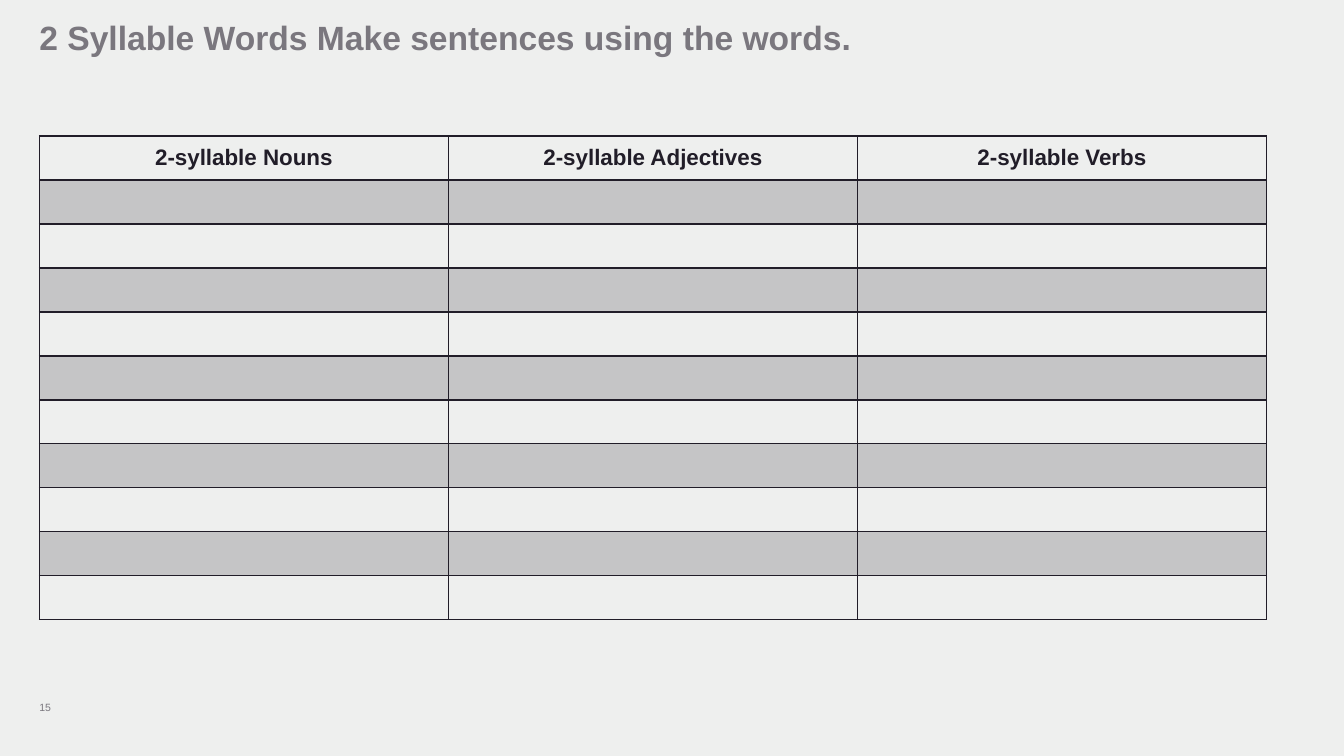
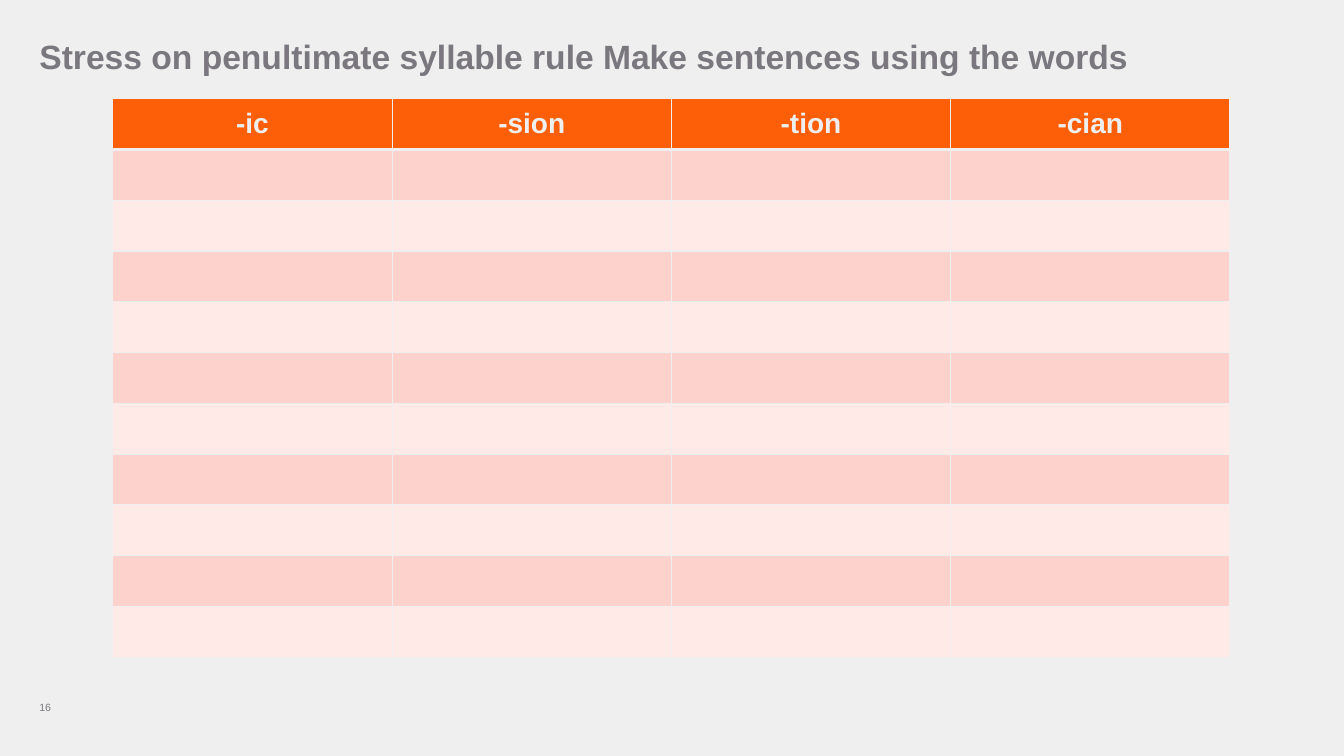
from dataclasses import dataclass

from lxml.etree import SubElement as Sub
from pptx import Presentation
from pptx.dml.color import RGBColor as RGB
from pptx.enum.text import MSO_ANCHOR as Anchor, MSO_AUTO_SIZE as Auto, PP_ALIGN as Align
from pptx.oxml.ns import qn
from pptx.util import Inches, Pt


@dataclass(frozen=True)
class Theme:
    """Colours and type sizes of the deck."""
    font: str = "Arial"
    page: str = "EEEFEE"
    ink: str = "211D28"
    grey: str = "7A777E"
    head: str = "FD5F08"
    rose: str = "FED2CC"
    pale: str = "FFEAE7"
    title: float = 24
    large: float = 20
    mid: float = 16
    small: float = 7.5


def put(item, **vals):
    """Set attributes from format values."""
    for key, val in vals.items():
        setattr(item, key, val)


class Deck:
    """Style and current slide, with lengths in percent of the slide."""

    def __init__(self, theme):
        """Start an empty deck with the theme's page colour."""
        self.theme = theme
        self.prs = Presentation()
        put(self.prs, slide_width=Inches(13.33), slide_height=Inches(7.5))
        fill = self.prs.slide_master.background.fill
        fill.solid()
        fill.fore_color.rgb = RGB.from_string(theme.page)

    def area(self, x, y, w, h):
        """Turn percent shares into slide lengths."""
        wide, high = self.prs.slide_width, self.prs.slide_height
        vals = (x * wide, y * high, w * wide, h * high)
        names = ("left", "top", "width", "height")
        return {name: round(val / 100) for name, val in zip(names, vals)}

    def text(self, frame, words, size, tint, bold=False, align=Align.LEFT):
        """Fill a text frame with one styled paragraph."""
        para = frame.paragraphs[0]
        para.alignment = align
        run = para.add_run()
        run.text = words
        put(run.font, name=self.theme.font, size=Pt(size), bold=bold)
        run.font.color.rgb = RGB.from_string(tint)
        return para

    def label(self, box, words, size, bold=False):
        """Set grey text in a box without insets."""
        frame = box.text_frame
        put(frame, margin_left=0, margin_top=0, margin_right=0, margin_bottom=0,
            word_wrap=True, auto_size=Auto.NONE, vertical_anchor=Anchor.MIDDLE)
        return self.text(frame, words, size, self.theme.grey, bold)

    def page(self, title, top, num):
        """Add a slide with its title and page number."""
        self.slide = self.prs.slides.add_slide(self.prs.slide_layouts[5])
        box = self.slide.shapes.title
        put(box, **self.area(2.93, top, 94, 5.2))
        self.label(box, title, self.theme.title, True).line_spacing = 0.9
        foot = self.slide.shapes.add_textbox(**self.area(2.93, 89.6, 4.43, 7.87))
        self.label(foot, str(num), self.theme.small)

    def edge(self, cell, side, tint, width):
        """Draw one border of a cell."""
        line = Sub(cell._tc.get_or_add_tcPr(), qn(f"a:ln{side}"), w=str(Pt(width)))
        Sub(Sub(line, qn("a:solidFill")), qn("a:srgbClr"), val=tint)

    def paint(self, cell, tint, alpha):
        """Fill a cell, or clear it when there is no tint."""
        if tint is None:
            cell.fill.background()
            return
        cell.fill.solid()
        cell.fill.fore_color.rgb = RGB.from_string(tint)
        if alpha < 100:
            mark = cell._tc.tcPr.find(qn("a:solidFill")).find(qn("a:srgbClr"))
            Sub(mark, qn("a:alpha"), val=str(alpha * 1000))

    def table(self, place, heads, size, tint, line, rule, top, bands, alpha=100, rows=11):
        """Add a banded table with a heading row and blank rows."""
        area = self.area(*place)
        grid = self.slide.shapes.add_table(rows, len(heads), **area).table
        for r, row in enumerate(grid.rows):
            row.height = round(area["height"] / rows)
            wide = {"L": 1, "R": 1, "T": rule if r == 1 else 1, "B": 1 if r else rule}
            for c, cell in enumerate(row.cells):
                for side, width in wide.items():
                    self.edge(cell, side, line, width)
                self.paint(cell, bands[(r - 1) % 2] if r else top, alpha if r else 100)
                cell.vertical_anchor = Anchor.MIDDLE
                if r == 0:
                    self.text(cell.text_frame, heads[c], size, tint, True, Align.CENTER)


def main():
    """Build and save the deck."""
    look = Theme()
    deck = Deck(look)
    deck.page("2 Syllable Words Make sentences using the words.", 2.6, 15)
    deck.table((2.93, 18, 91.3, 64),
               ["2-syllable Nouns", "2-syllable Adjectives", "2-syllable Verbs"],
               look.mid, look.ink, look.ink, 2, None, (look.ink, None), alpha=20)
    deck.page("Stress on penultimate syllable rule Make sentences using the words", 5.2, 16)
    deck.table((8.4, 13.07, 83.12, 73.87), ["-ic", "-sion", "-tion", "-cian"],
               look.large, look.page, look.page, 3, look.head, (look.rose, look.pale))
    deck.prs.save("out.pptx")


if __name__ == "__main__":
    main()
